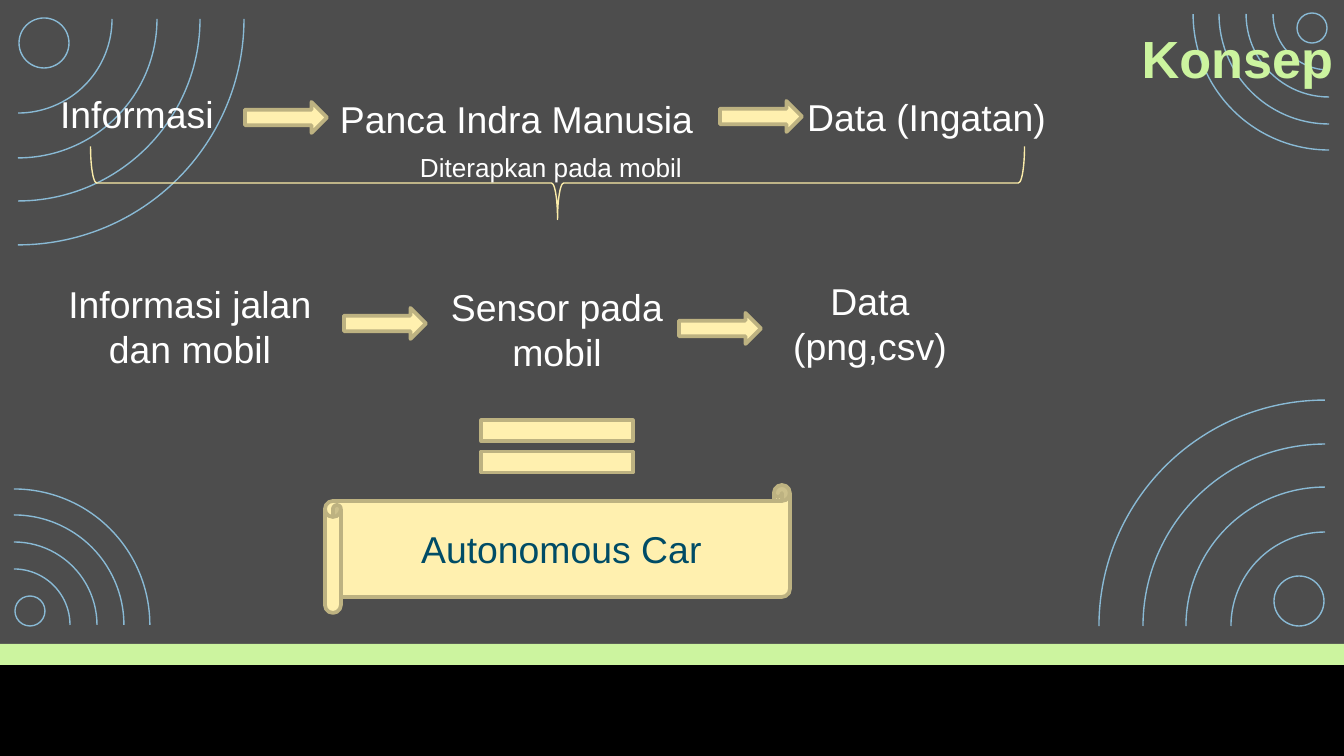
from typing import NamedTuple

from pptx import Presentation
from pptx.dml.color import RGBColor
from pptx.enum.shapes import MSO_SHAPE as Shape
from pptx.enum.text import MSO_ANCHOR as Anchor, PP_ALIGN as Align
from pptx.util import Pt

EMU_PER_PX = 914400 / 134.4
FONT = "Arial"
BACKGROUND = "4D4D4D"
BLACK = "000000"
WHITE = "FFFFFF"
GREEN = "CCF49F"
BLUE = "89BAD5"
CREAM = "FFF0AF"
CREAM_EDGE = "BDB281"
BRACE_LINE = "FBECA9"
TEAL = "004C66"
ARROW_SIZE = (82, 31)
LARGE_RADII = (226, 182, 139, 94)
SMALL_RADII = (136, 110, 83, 56)


class Box(NamedTuple):
    left: int
    top: int
    width: int
    height: int


class Ripple(NamedTuple):
    center: tuple[int, int]
    radii: tuple[int, ...]
    rotation: int
    dot_center: tuple[int, int]
    dot_radius: int


class Label(NamedTuple):
    text: str
    box: Box
    size: int = 20
    color: str = WHITE
    align: Align = Align.LEFT
    anchor: Anchor = Anchor.TOP
    bold: bool = False
    insets: tuple[int, int] = (13, 7)


RIPPLES = [
    Ripple((1329, 14), SMALL_RADII, 180, (1312, 28), 15),
    Ripple((18, 19), LARGE_RADII, 90, (44, 43), 25),
    Ripple((14, 625), SMALL_RADII, 0, (30, 611), 15),
    Ripple((1325, 626), LARGE_RADII, 270, (1299, 601), 25),
]

LABELS = [
    Label("Konsep", Box(558, -200, 788, 289), 28, GREEN, Align.RIGHT, Anchor.BOTTOM, True, (13, 0)),
    Label("Informasi", Box(28, 91, 226, 66), insets=(32, 0)),
    Label("Panca Indra Manusia", Box(327, 89, 421, 59)),
    Label("Data (Ingatan)", Box(794, 87, 286, 59)),
    Label("Diterapkan pada mobil", Box(407, 144, 427, 46), 14),
    Label("Informasi jalan dan mobil", Box(43, 274, 294, 103), align=Align.CENTER),
    Label("Sensor pada mobil", Box(426, 277, 262, 103), align=Align.CENTER),
    Label("Data (png,csv)", Box(760, 271, 220, 103), align=Align.CENTER),
]

ARROWS = [(245, 102), (720, 101), (344, 308), (679, 313)]


def px(length: float) -> int:
    return round(length * EMU_PER_PX)


def rgb(color: str) -> RGBColor:
    return RGBColor.from_string(color)


def draw_shape(page, kind, box: Box, fill: str | None = None,
               line: str | None = None, weight: float = 0.75, rotation: int = 0):
    shape = page.shapes.add_shape(kind, *map(px, box))
    shape.shadow.inherit = False
    shape.rotation = rotation
    if fill:
        shape.fill.solid()
        shape.fill.fore_color.rgb = rgb(fill)
    else:
        shape.fill.background()
    if line:
        shape.line.color.rgb = rgb(line)
        shape.line.width = Pt(weight)
    else:
        shape.line.fill.background()
    return shape


def draw_circle(page, kind, center: tuple[int, int], radius: int, rotation: int = 0) -> None:
    box = Box(center[0] - radius, center[1] - radius, 2 * radius, 2 * radius)
    draw_shape(page, kind, box, line=BLUE, rotation=rotation)


def draw_ripple(page, ripple: Ripple) -> None:
    for radius in ripple.radii:
        draw_circle(page, Shape.ARC, ripple.center, radius, ripple.rotation)
    draw_circle(page, Shape.OVAL, ripple.dot_center, ripple.dot_radius)


def write_text(shape, label: Label) -> None:
    frame = shape.text_frame
    frame.word_wrap = True
    frame.vertical_anchor = label.anchor
    frame.margin_left = frame.margin_right = px(label.insets[0])
    frame.margin_top = frame.margin_bottom = px(label.insets[1])
    frame.text = label.text
    para = frame.paragraphs[0]
    para.alignment = label.align
    font = para.runs[0].font
    font.name = FONT
    font.size = Pt(label.size)
    font.bold = label.bold
    font.color.rgb = rgb(label.color)


def draw_label(page, label: Label) -> None:
    write_text(page.shapes.add_textbox(*map(px, label.box)), label)


def main() -> None:
    deck = Presentation()
    deck.slide_width, deck.slide_height = px(1344), px(756)
    page = deck.slides.add_slide(deck.slide_layouts[6])
    page.background.fill.solid()
    page.background.fill.fore_color.rgb = rgb(BACKGROUND)

    draw_shape(page, Shape.RECTANGLE, Box(0, 663, 1344, 93), BLACK)
    draw_shape(page, Shape.RECTANGLE, Box(0, 644, 1344, 21), GREEN)
    for ripple in RIPPLES:
        draw_ripple(page, ripple)

    draw_shape(page, Shape.RIGHT_BRACE, Box(521, -284, 73, 934), line=BRACE_LINE, rotation=90)
    for label in LABELS:
        draw_label(page, label)
    for corner in ARROWS:
        draw_shape(page, Shape.RIGHT_ARROW, Box(*corner, *ARROW_SIZE), CREAM, CREAM_EDGE, 2)

    draw_shape(page, Shape.MATH_EQUAL, Box(454, 402, 206, 89), CREAM, CREAM_EDGE, 2)
    result = Label("Autonomous Car", Box(325, 485, 465, 128), color=TEAL,
                   align=Align.CENTER, anchor=Anchor.MIDDLE)
    scroll = draw_shape(page, Shape.HORIZONTAL_SCROLL, result.box, CREAM, CREAM_EDGE, 2)
    write_text(scroll, result)

    deck.save("out.pptx")


if __name__ == "__main__":
    main()
